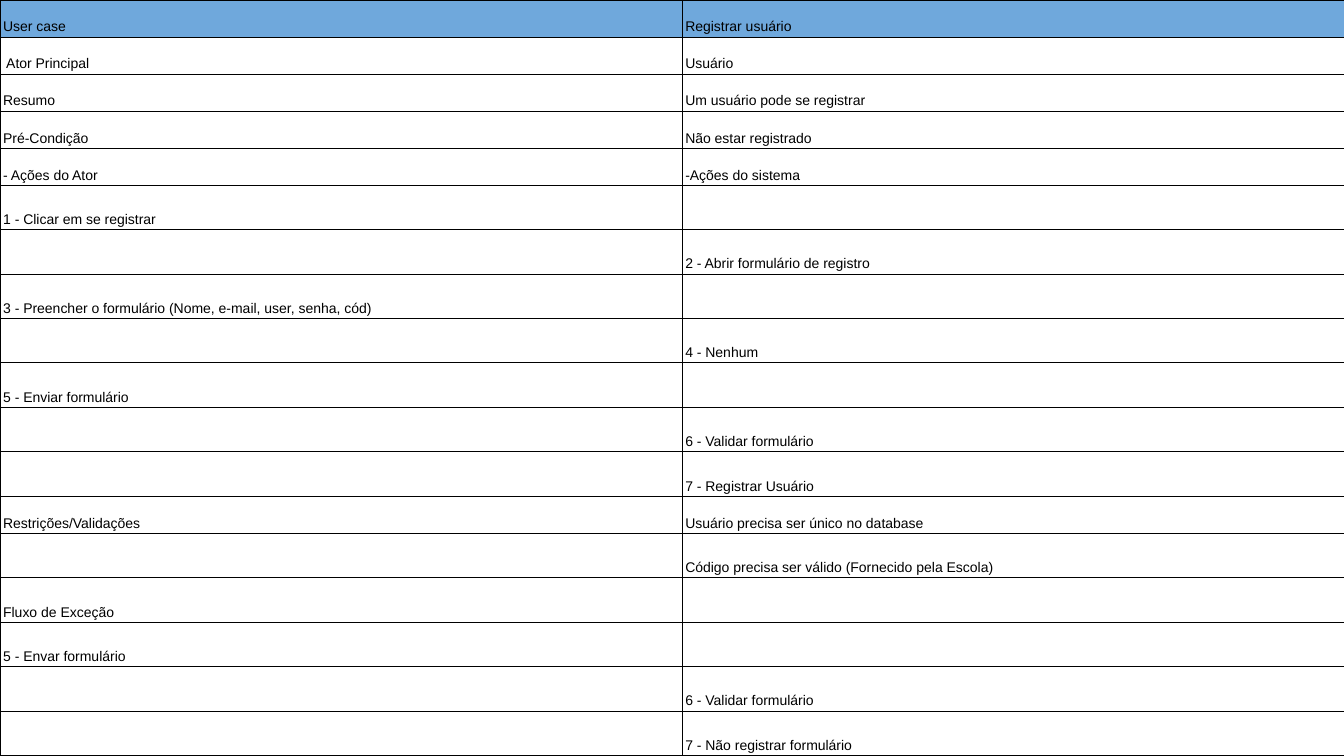
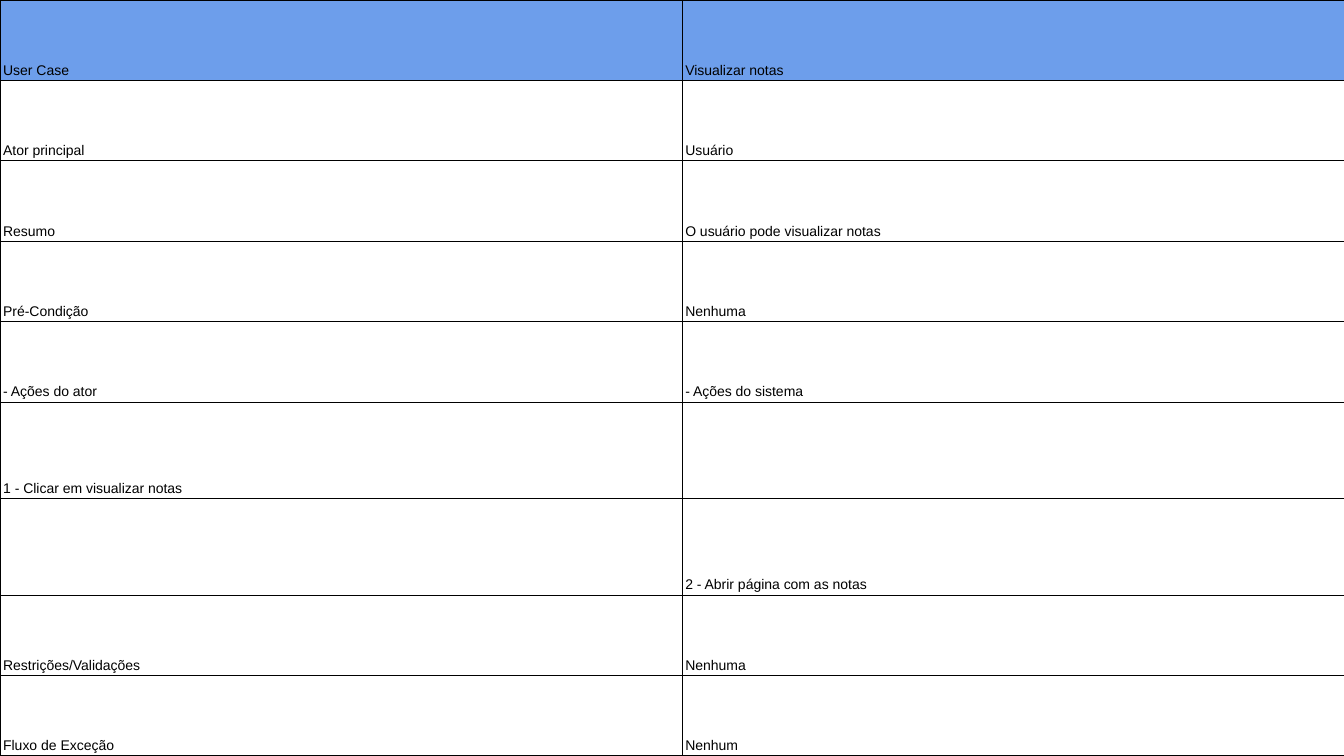
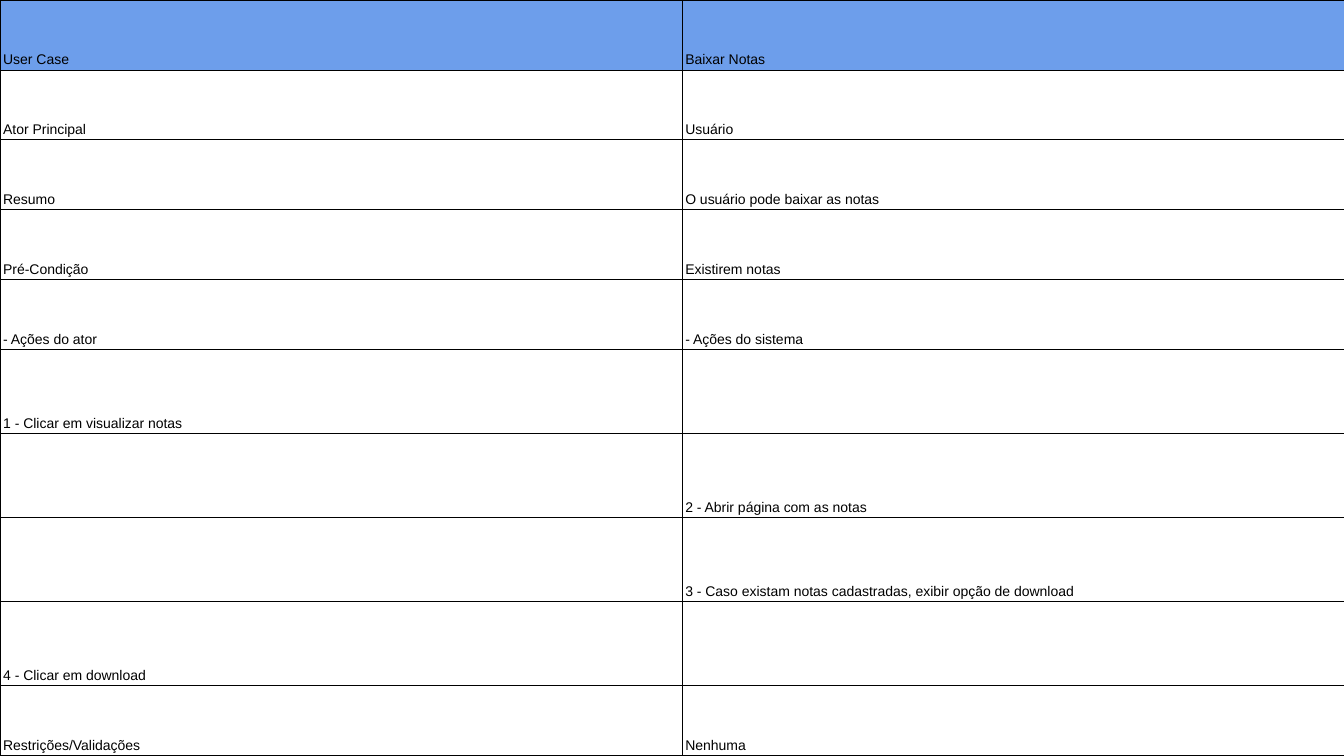
from dataclasses import dataclass

import lxml.etree
import pptx
import pptx.dml.color
import pptx.enum.text
import pptx.oxml.ns
import pptx.presentation
import pptx.table
import pptx.util

# Shared style
SKY_BLUE = pptx.dml.color.RGBColor(0x6F, 0xA8, 0xDC)
CORNFLOWER = pptx.dml.color.RGBColor(0x6D, 0x9E, 0xEB)
BLACK = pptx.dml.color.RGBColor(0x00, 0x00, 0x00)
FONT = "Arial"
FONT_SIZE = pptx.util.Pt(10)
LINE_SPACING = 1.15
BORDER_WIDTH = pptx.util.Pt(0.75)
SIDE_MARGIN = pptx.util.Pt(2.25)
EDGE_MARGIN = pptx.util.Pt(1.5)

# Shared geometry, in points
SLIDE_WIDTH, SLIDE_HEIGHT = 960, 540
LEFT_COLUMN = 487.25
STEP_WEIGHT = 1.2  # a row with one empty cell is this much taller


@dataclass(frozen=True)
class UseCase:
    header_color: pptx.dml.color.RGBColor
    rows: tuple[tuple[str, str], ...]


USE_CASES = (
    UseCase(SKY_BLUE, (
        ("User case", "Registrar usuário"),
        (" Ator Principal", "Usuário"),
        ("Resumo", "Um usuário pode se registrar"),
        ("Pré-Condição", "Não estar registrado"),
        ("- Ações do Ator", "-Ações do sistema"),
        ("1 - Clicar em se registrar", ""),
        ("", "2 - Abrir formulário de registro"),
        ("3 - Preencher o formulário (Nome, e-mail, user, senha, cód)", ""),
        ("", "4 - Nenhum"),
        ("5 - Enviar formulário", ""),
        ("", "6 - Validar formulário"),
        ("", "7 - Registrar Usuário"),
        ("Restrições/Validações", "Usuário precisa ser único no database"),
        ("", "Código precisa ser válido (Fornecido pela Escola)"),
        ("Fluxo de Exceção", ""),
        ("5 - Envar formulário", ""),
        ("", "6 - Validar formulário"),
        ("", "7 - Não registrar formulário"),
    )),
    UseCase(CORNFLOWER, (
        ("User Case", "Visualizar notas"),
        ("Ator principal", "Usuário"),
        ("Resumo", "O usuário pode visualizar notas"),
        ("Pré-Condição", "Nenhuma"),
        ("- Ações do ator", "- Ações do sistema"),
        ("1 - Clicar em visualizar notas", ""),
        ("", "2 - Abrir página com as notas"),
        ("Restrições/Validações", "Nenhuma"),
        ("Fluxo de Exceção", "Nenhum"),
    )),
    UseCase(CORNFLOWER, (
        ("User Case", "Baixar Notas"),
        ("Ator Principal", "Usuário"),
        ("Resumo", "O usuário pode baixar as notas"),
        ("Pré-Condição", "Existirem notas"),
        ("- Ações do ator", "- Ações do sistema"),
        ("1 - Clicar em visualizar notas", ""),
        ("", "2 - Abrir página com as notas"),
        ("", "3 - Caso existam notas cadastradas, exibir opção de download"),
        ("4 - Clicar em download", ""),
        ("Restrições/Validações", "Nenhuma"),
    )),
)


def add_borders(cell: pptx.table._Cell) -> None:
    """Draw all four cell edges; call before filling the cell."""
    qn = pptx.oxml.ns.qn
    properties = cell._tc.get_or_add_tcPr()
    for side in ("a:lnL", "a:lnR", "a:lnT", "a:lnB"):
        edge = lxml.etree.SubElement(properties, qn(side), w=str(int(BORDER_WIDTH)))
        solid = lxml.etree.SubElement(edge, qn("a:solidFill"))
        lxml.etree.SubElement(solid, qn("a:srgbClr"), val=str(BLACK))


def write_cell(cell: pptx.table._Cell, text: str) -> None:
    cell.vertical_anchor = pptx.enum.text.MSO_ANCHOR.BOTTOM
    cell.margin_left = cell.margin_right = SIDE_MARGIN
    cell.margin_top = cell.margin_bottom = EDGE_MARGIN
    if not text:
        return
    paragraph = cell.text_frame.paragraphs[0]
    paragraph.line_spacing = LINE_SPACING
    run = paragraph.add_run()
    run.text = text
    run.font.name = FONT
    run.font.size = FONT_SIZE
    run.font.color.rgb = BLACK


def add_use_case(deck: pptx.presentation.Presentation, use_case: UseCase) -> None:
    slide = deck.slides.add_slide(deck.slide_layouts[6])
    table = slide.shapes.add_table(
        len(use_case.rows), 2, pptx.util.Pt(0), pptx.util.Pt(0),
        pptx.util.Pt(SLIDE_WIDTH), pptx.util.Pt(SLIDE_HEIGHT)).table
    table.first_row = table.horz_banding = False

    # Columns, and rows that share the full slide height by weight
    table.columns[0].width = pptx.util.Pt(LEFT_COLUMN)
    table.columns[1].width = pptx.util.Pt(SLIDE_WIDTH - LEFT_COLUMN)
    weights = [1 if all(texts) else STEP_WEIGHT for texts in use_case.rows]
    unit = SLIDE_HEIGHT / sum(weights)

    # Cells
    for index, (texts, weight) in enumerate(zip(use_case.rows, weights)):
        table.rows[index].height = pptx.util.Pt(unit * weight)
        for cell, text in zip(table.rows[index].cells, texts):
            write_cell(cell, text)
            add_borders(cell)
            if index == 0:
                cell.fill.solid()
                cell.fill.fore_color.rgb = use_case.header_color
            else:
                cell.fill.background()


def main() -> None:
    deck = pptx.Presentation()
    deck.slide_width = pptx.util.Pt(SLIDE_WIDTH)
    deck.slide_height = pptx.util.Pt(SLIDE_HEIGHT)
    for use_case in USE_CASES:
        add_use_case(deck, use_case)
    deck.save("out.pptx")


if __name__ == "__main__":
    main()
